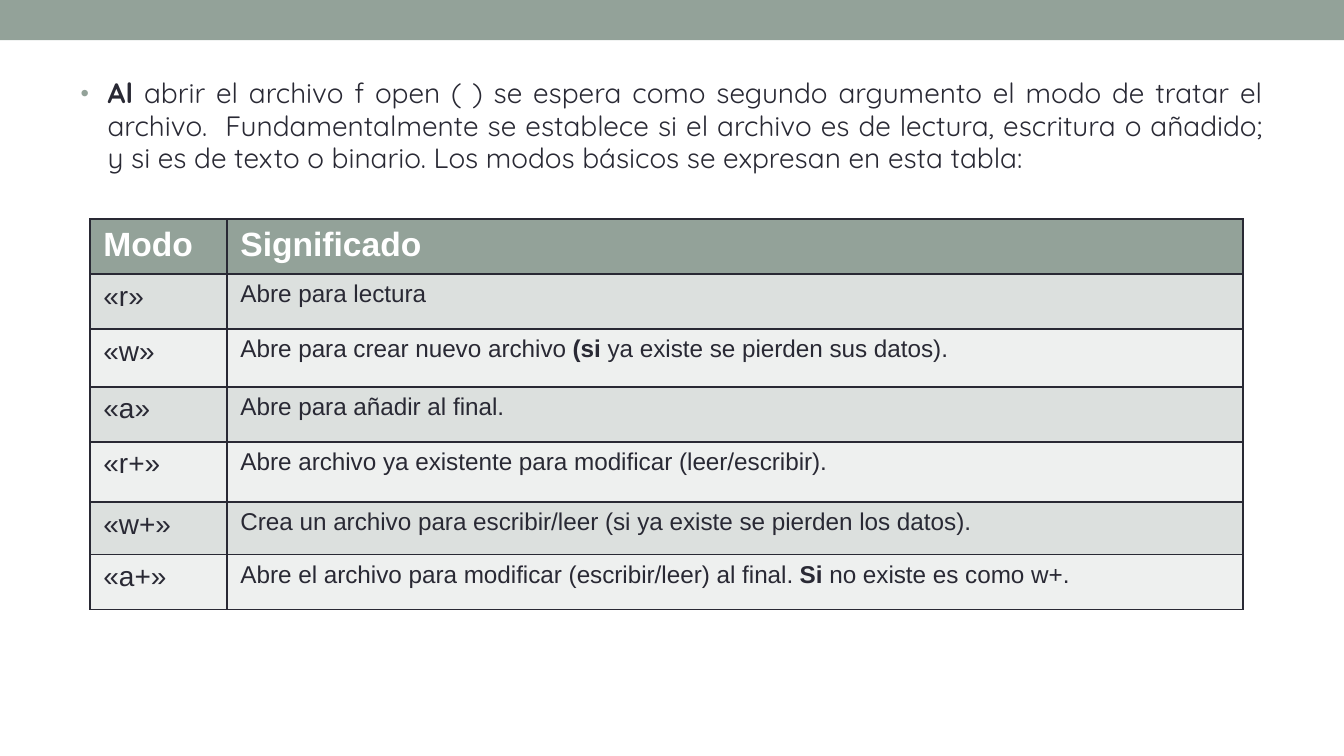
from lxml.etree import SubElement
from pptx import Presentation
from pptx.dml.color import RGBColor
from pptx.enum.shapes import MSO_SHAPE
from pptx.enum.text import MSO_ANCHOR, MSO_AUTO_SIZE, PP_ALIGN
from pptx.oxml import parse_xml
from pptx.oxml.ns import nsdecls, qn
from pptx.util import Cm, Pt

GREEN, INK, WHITE = "93A299", "292934", "FFFFFF"
BANDS = ["DCE0DE", "EEF0EF"]
INTRO = (
    "**Al **abrir el archivo f open ( ) se espera como segundo argumento el modo "
    "de tratar el archivo.  Fundamentalmente se establece si el archivo es de "
    "lectura, escritura o añadido; y si es de texto o binario. Los modos básicos "
    "se expresan en esta tabla:"
)
MODES = [
    ("**Modo**", "**Significado**", 1.04),
    ("«r»", "Abre para lectura", 1.04),
    ("«w»", "Abre para crear nuevo archivo **(si **ya existe se pierden sus datos).", 1.09),
    ("«a»", "Abre para añadir al final.", 1.04),
    ("«r+»", "Abre archivo ya existente para modificar (leer/escribir).", 1.14),
    ("«w+»", "Crea un archivo para escribir/leer (si ya existe se pierden los datos).", 0.99),
    ("«a+»", "Abre el archivo para modificar (escribir/leer) al final. **Si **no existe es como w+.", 1.04),
]


def tint(code):
    """Turn a hex string into a colour."""
    return RGBColor.from_string(code)


def write(para, text, font, size, code):
    """Fill a paragraph with runs, bold between double asterisks."""
    for i, part in enumerate(text.split("**")):
        if part:
            run = para.add_run()
            run.text = part
            run.font.name, run.font.size = font, Pt(size)
            run.font.bold = i % 2 == 1
            run.font.color.rgb = tint(code)


def draw_band(slide, left, top, width, height):
    """Draw the plain band along the top edge."""
    band = slide.shapes.add_shape(MSO_SHAPE.RECTANGLE, left, top, width, height)
    band.shadow.inherit = False
    band.fill.solid()
    band.fill.fore_color.rgb = tint(GREEN)
    band.line.fill.background()


def fill_body(slide, left, top, width, height):
    """Place the bulleted introduction in the body placeholder."""
    body = slide.placeholders[1]
    body.left, body.top, body.width, body.height = left, top, width, height
    frame = body.text_frame
    frame.auto_size = MSO_AUTO_SIZE.NONE
    frame.vertical_anchor = MSO_ANCHOR.TOP
    para = frame.paragraphs[0]
    write(para, INTRO, "Quicksand", 15, INK)
    para.alignment = PP_ALIGN.JUSTIFY
    para.space_before, para.line_spacing = Pt(3), 0.96
    props = para._p.get_or_add_pPr()
    props.set("marL", str(Cm(0.51)))
    props.set("indent", str(Cm(-0.51)))
    SubElement(SubElement(props, qn("a:buClr")), qn("a:srgbClr"), val=GREEN)
    SubElement(props, qn("a:buSzPct"), val="85000")
    SubElement(props, qn("a:buFont"), typeface="Arial")
    SubElement(props, qn("a:buChar"), char="•")


def edge(cell):
    """Give a cell a thin dark line on all four sides."""
    props = cell._tc.get_or_add_tcPr()
    for i, side in enumerate("LRTB"):
        props.insert(i, parse_xml(
            f'<a:ln{side} {nsdecls("a")} w="12700"><a:solidFill>'
            f'<a:srgbClr val="{INK}"/></a:solidFill></a:ln{side}>'))


def draw_table(slide, left, top, width, height):
    """Draw the table of file modes."""
    grid = slide.shapes.add_table(len(MODES), 2, left, top, width, height).table
    grid.columns[0].width = Cm(2.59)
    grid.columns[1].width = width - Cm(2.59)
    for r, (mode, sense, tall) in enumerate(MODES):
        grid.rows[r].height = Cm(tall)
        for c, text in enumerate((mode, sense)):
            cell = grid.cell(r, c)
            cell.fill.solid()
            cell.fill.fore_color.rgb = tint(BANDS[(r - 1) % 2] if r else GREEN)
            size = (15, 13)[c] if r else 18
            write(cell.text_frame.paragraphs[0], text, "Arial", size, INK if r else WHITE)
            edge(cell)


def main():
    """Build the slide and save it."""
    deck = Presentation()
    deck.slide_width, deck.slide_height = Cm(25.4), Cm(14.29)
    slide = deck.slides.add_slide(deck.slide_layouts[1])
    title = slide.shapes.title._element
    title.getparent().remove(title)
    draw_band(slide, 0, 0, deck.slide_width, Cm(0.76))
    fill_body(slide, Cm(1.27), Cm(1.35), Cm(22.86), Cm(12.14))
    draw_table(slide, Cm(1.7), Cm(4.14), Cm(21.79), Cm(7.38))
    deck.save("out.pptx")


if __name__ == "__main__":
    main()
